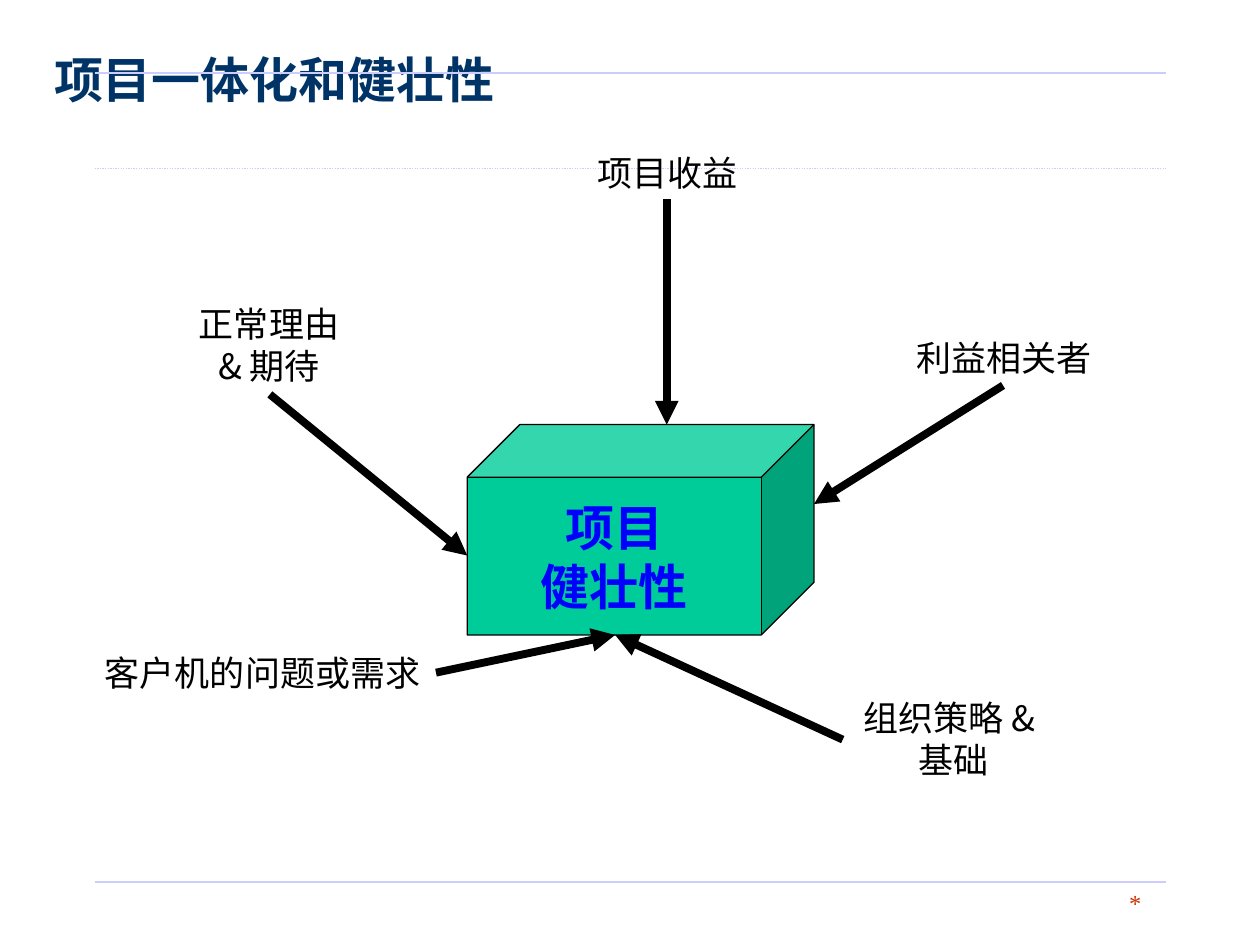
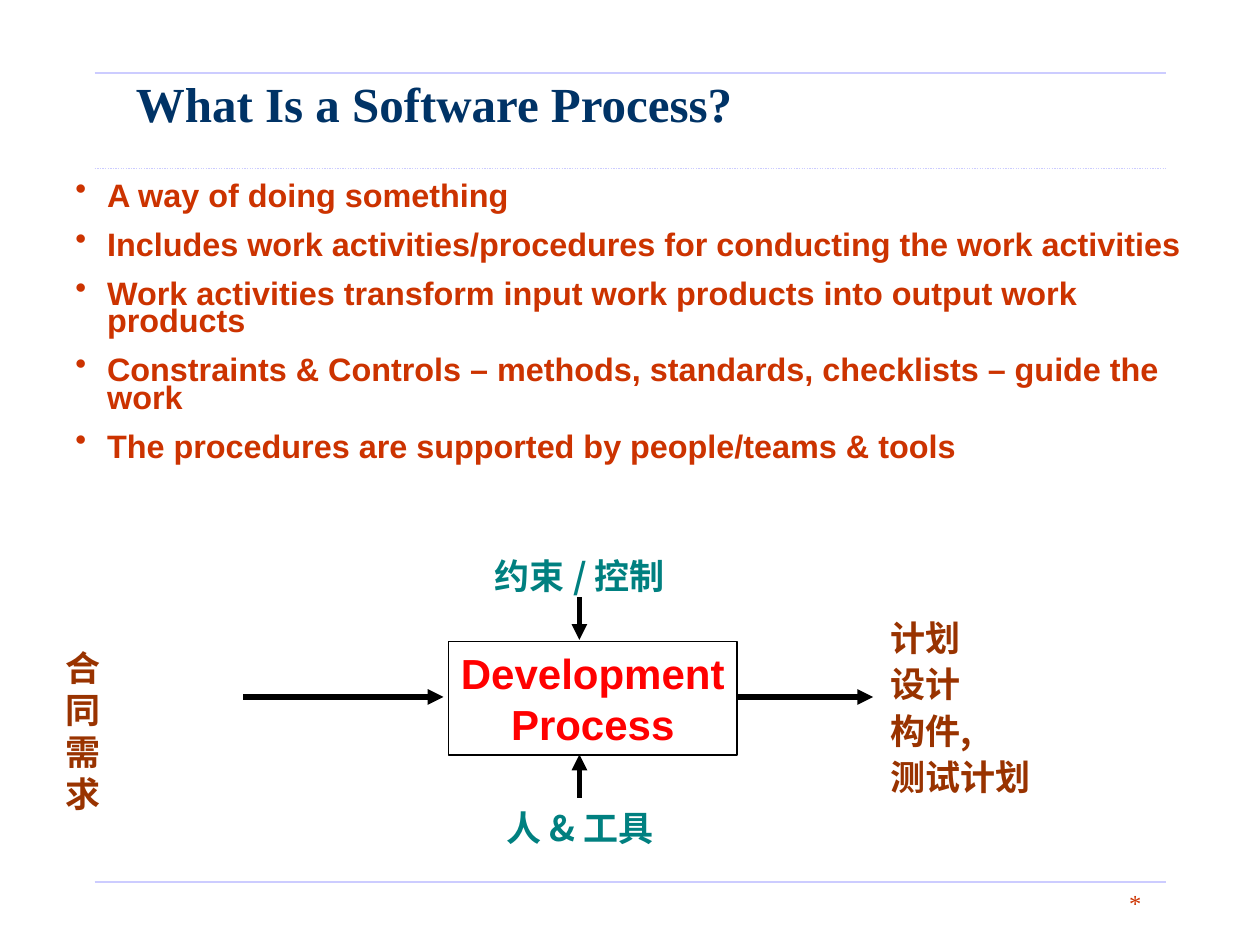
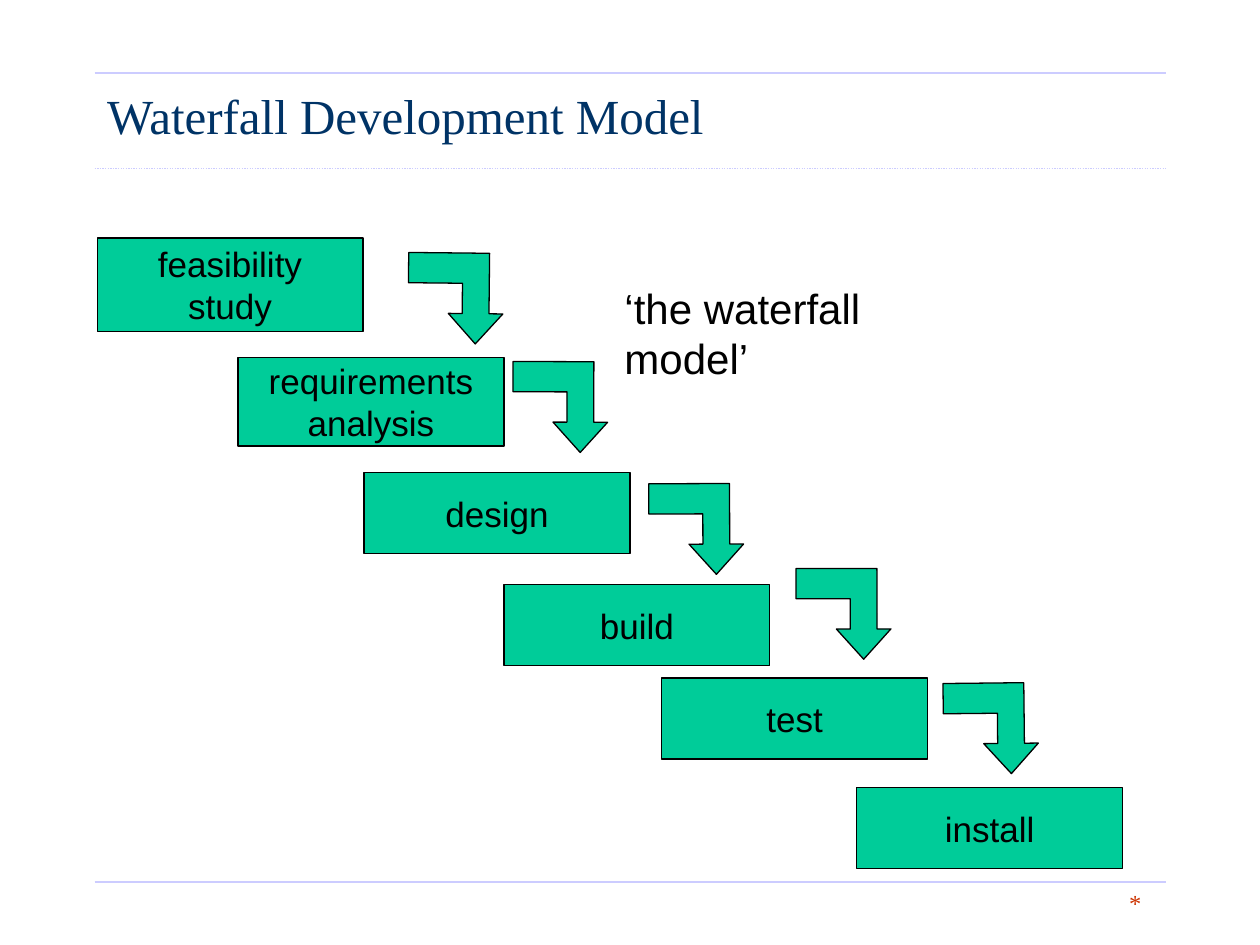
from lxml import etree
from pptx import Presentation, util as u
from pptx.dml.color import RGBColor
from pptx.enum import dml, shapes, text
from pptx.oxml.ns import qn

COLORS = {
    "rule": "CCCCFF", "title": "003366", "accent": "CC3300", "fill": "00CC99",
    "black": "000000", "white": "FFFFFF", "blue": "0000FF", "red": "FF0000",
    "brown": "993300", "teal": "008080",
}
SERIF, SANS, CHINESE = "Times New Roman", "Arial", "Noto Sans CJK SC"
HAIRLINE = 0.74
LEFT, CENTER, RIGHT = text.PP_ALIGN.LEFT, text.PP_ALIGN.CENTER, text.PP_ALIGN.RIGHT
TOP, MIDDLE = text.MSO_ANCHOR.TOP, text.MSO_ANCHOR.MIDDLE
TITLE_ONLY = 5
BENT_ARROW = [(0, 0), (1.63, 0), (1.63, 1.22), (1.91, 1.22), (1.36, 1.83),
              (0.81, 1.22), (1.09, 1.22), (1.09, 0.61), (0, 0.61)]


def color(name):
    return RGBColor.from_string(COLORS[name])


def lengths(values):
    return [u.Cm(value) for value in values]


class Deck:
    def __init__(self):
        self.presentation = Presentation()
        self.presentation.slide_width = u.Cm(25.4)
        self.presentation.slide_height = u.Cm(19.05)
        self.slide = None

    def add_slide(self, title, box, bold=True):
        layout = self.presentation.slide_layouts[TITLE_ONLY]
        self.slide = self.presentation.slides.add_slide(layout)
        for y, dash in ((1.47, None), (17.78, None), (3.39, dml.MSO_LINE.ROUND_DOT)):
            self.line((1.91, y), (23.5, y), "rule", HAIRLINE, dash)
        star = self.label("*", (19.25, 17.78, 4.01, 0.86), 14, "accent", SERIF,
                          align=RIGHT, wrap=True)
        star.text_frame.paragraphs[0].space_before = u.Pt(8.8)
        shape = self.slide.shapes.title
        shape.left, shape.top, shape.width, shape.height = lengths(box)
        self.set_text(shape, title, 28, "title", SERIF, bold, LEFT, MIDDLE, wrap=True)

    def set_text(self, shape, content, size, ink, font, bold=False, align=CENTER,
                 anchor=TOP, wrap=False):
        frame = shape.text_frame
        frame.text = content
        frame.word_wrap = wrap
        frame.auto_size = text.MSO_AUTO_SIZE.NONE
        frame.vertical_anchor = anchor
        frame.margin_left = frame.margin_right = u.Cm(0.25)
        frame.margin_top = frame.margin_bottom = u.Cm(0.13)
        for paragraph in frame.paragraphs:
            paragraph.alignment = align
            paragraph.font.size = u.Pt(size)
            paragraph.font.bold = bold
            paragraph.font.name = font
            paragraph.font.color.rgb = color(ink)
            properties = paragraph._p.get_or_add_pPr().find(qn("a:defRPr"))
            etree.SubElement(properties, qn("a:ea"), typeface=CHINESE)
        return frame

    def label(self, content, box, size=20, ink="black", font=CHINESE, bold=False,
              align=CENTER, wrap=False):
        shape = self.slide.shapes.add_textbox(*lengths(box))
        frame = self.set_text(shape, content, size, ink, font, bold, align, wrap=wrap)
        frame.auto_size = text.MSO_AUTO_SIZE.SHAPE_TO_FIT_TEXT
        return shape

    def bullets(self, items, box):
        shape = self.slide.shapes.add_textbox(*lengths(box))
        frame = self.set_text(shape, "\n".join(items), 18.5, "accent", SANS, True,
                              LEFT, wrap=True)
        for paragraph in frame.paragraphs:
            properties = paragraph._p.get_or_add_pPr()
            properties.set("marL", str(u.Cm(0.64)))
            properties.set("indent", str(-u.Cm(0.64)))
            bullet = etree.Element(qn("a:buChar"), char="•")
            properties.find(qn("a:defRPr")).addprevious(bullet)
            paragraph.line_spacing = 0.7
            paragraph.space_before = u.Pt(5)
            paragraph.space_after = u.Pt(7.5)

    def paint(self, shape, fill):
        shape.shadow.inherit = False
        shape.fill.solid()
        shape.fill.fore_color.rgb = color(fill)
        shape.line.color.rgb = color("black")
        shape.line.width = u.Pt(HAIRLINE)

    def block(self, content, box, kind=shapes.MSO_SHAPE.RECTANGLE, fill="fill",
              size=20, ink="black", font=SANS, bold=False, anchor=MIDDLE):
        shape = self.slide.shapes.add_shape(kind, *lengths(box))
        self.paint(shape, fill)
        self.set_text(shape, content, size, ink, font, bold, anchor=anchor)

    def line(self, start, end, ink="black", width=HAIRLINE, dash=None):
        connector = self.slide.shapes.add_connector(
            shapes.MSO_CONNECTOR.STRAIGHT, *lengths(start + end))
        connector.line.color.rgb = color(ink)
        connector.line.width = u.Pt(width)
        if dash:
            connector.line.dash_style = dash
        etree.SubElement(connector._element.spPr, qn("a:effectLst"))
        return connector

    def arrow(self, start, end, width):
        connector = self.line(start, end, width=width)
        outline = connector._element.spPr.find(qn("a:ln"))
        etree.SubElement(outline, qn("a:tailEnd"), type="triangle")

    def bent_arrow(self, left, top, rotation):
        points = [lengths((left + x, top + y)) for x, y in BENT_ARROW]
        builder = self.slide.shapes.build_freeform(*points[0])
        builder.add_line_segments(points[1:], close=True)
        shape = builder.convert_to_shape()
        shape.rotation = rotation
        self.paint(shape, "fill")


deck = Deck()

deck.add_slide("项目一体化和健壮性", (0.84, 0, 23.5, 3.18))
deck.block("项目\n健壮性", (9.42, 8.56, 6.99, 4.24), shapes.MSO_SHAPE.CUBE,
           size=28, ink="blue", font=SERIF, bold=True)
for content, box, wrap, start, end in (
    ("正常理由\n& 期待", (3.76, 5.97, 3.33, 1.96), False, (5.44, 7.95), (9.42, 11.2)),
    ("项目收益", (11.79, 2.92, 3.33, 1.12), False, (13.44, 4.01), (13.44, 8.56)),
    ("利益相关者", (16.21, 6.65, 8.05, 1.12), True, (20.22, 7.77), (16.41, 10.16)),
    ("客户机的问题或需求", (1.8, 13, 6.99, 1.12), True, (8.79, 13.56), (12.4, 12.8)),
    ("组织策略 & \v基础", (16.87, 13.92, 4.7, 1.96), False, (16.99, 14.91), (12.4, 12.8)),
):
    deck.label(content, box, wrap=wrap)
    deck.arrow(start, end, 4.5)

deck.add_slide("What Is a Software Process?", (2.49, 1.12, 21.16, 1.91))
deck.bullets((
    "A way of doing something",
    "Includes work activities/procedures for conducting the work activities",
    "Work activities transform input work products into output work products",
    "Constraints & Controls – methods, standards, checklists – guide the work",
    "The procedures are supported by people/teams & tools",
), (1.27, 3.61, 23.5, 6.35))
deck.label("合同\n需求", (1.07, 12.9, 1.91, 1.96), ink="brown", bold=True, align=LEFT)
outputs = deck.label("计划\n设计\n构件,\n测试计划", (17.7, 12.22, 3.33, 3.99),
                     ink="brown", bold=True, align=LEFT)
for paragraph in outputs.text_frame.paragraphs:
    paragraph.line_spacing = 1.1
deck.label("人 & 工具", (9.6, 16.13, 4.17, 1.12), ink="teal", bold=True)
deck.label("约束 / 控制", (9.25, 11.05, 4.88, 1.12), ink="teal", bold=True)
for start, end in (
    ((4.9, 14.05), (8.94, 14.05)),
    ((14.86, 14.05), (17.6, 14.05)),
    ((11.68, 16.08), (11.68, 15.21)),
    ((11.68, 12.04), (11.68, 12.9)),
):
    deck.arrow(start, end, 3)
deck.block("Development\nProcess", (9.04, 12.93, 5.82, 2.29), fill="white",
           size=24, ink="red", bold=True, anchor=TOP)

deck.add_slide("Waterfall Development Model", (1.91, 1.47, 21.59, 1.7), bold=False)
for content, left, top, height in (
    ("feasibility\nstudy", 1.96, 4.8, 1.88),
    ("requirements\nanalysis", 4.8, 7.21, 1.78),
    ("design", 7.34, 9.53, 1.63),
    ("build", 10.16, 11.79, 1.63),
    ("test", 13.34, 13.67, 1.63),
    ("install", 17.27, 15.88, 1.63),
):
    deck.block(content, (left, top, 5.36, height))
deck.label("‘the waterfall model’", (12.34, 5.56, 7.98, 1.27), 24, font=SANS, align=LEFT)
for left, top, rotation in (
    (8.23, 5.1, 0.6), (10.34, 7.29, 0.2), (13.08, 9.75, -0.2),
    (16.05, 11.46, -0.1), (19.02, 13.77, -0.6),
):
    deck.bent_arrow(left, top, rotation)

deck.presentation.save("out.pptx")
